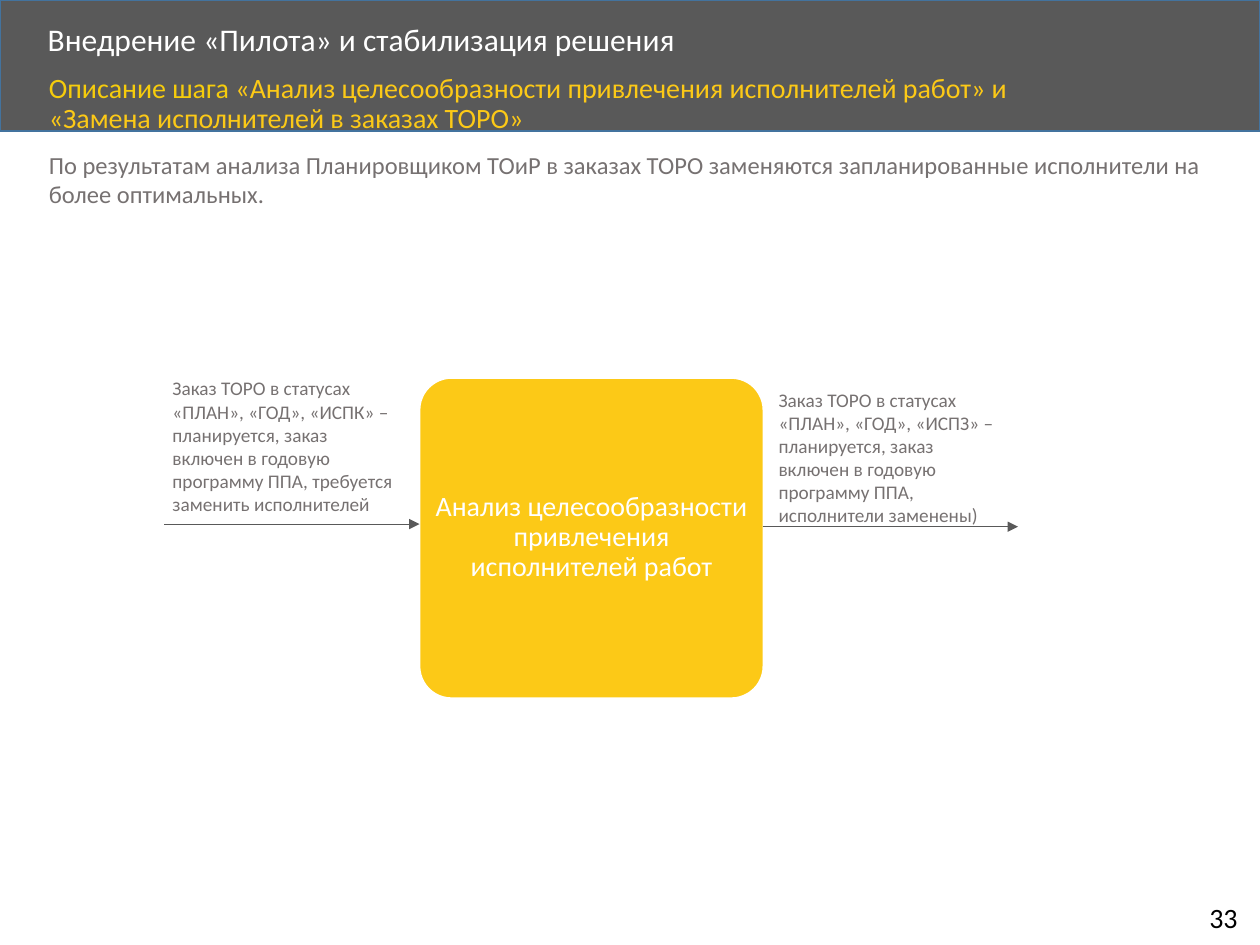
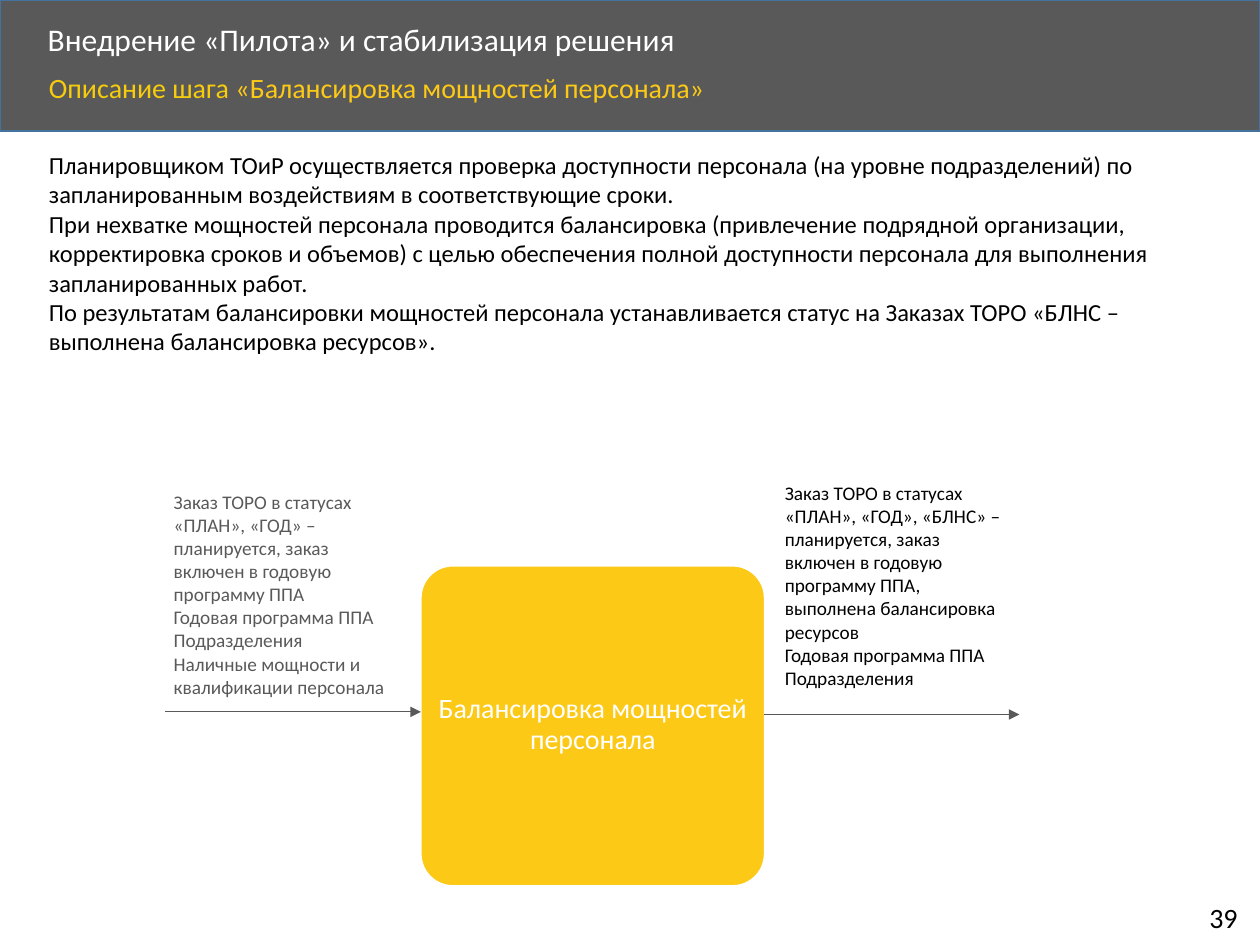
"""Build two slides that describe planning steps with their inputs and results."""
from lxml import etree
from pptx import Presentation
from pptx import util as u
from pptx.dml.color import RGBColor
from pptx.enum import shapes, text
from pptx.oxml import ns

WHITE = RGBColor(0xFF, 0xFF, 0xFF)
BLACK = RGBColor(0, 0, 0)
DARK = RGBColor(0x59, 0x59, 0x59)
GREY = RGBColor(0x76, 0x71, 0x71)
BLUE = RGBColor(0x43, 0x73, 0x9E)
GOLD = RGBColor(0xFC, 0xC9, 0x17)
AMBER = RGBColor(0xF6, 0xCC, 0x0C)

FONT = "Calibri"
TITLE = "Внедрение «Пилота» и стабилизация решения"
LEAD = "Описание шага "
BOX_W, BOX_H = 196.5, 183
ARROW = 146

STEPS = [
    dict(
        page="33",
        head="«Анализ целесообразности привлечения исполнителей работ» и "
             "«Замена исполнителей в заказах ТОРО»",
        body=["По результатам анализа Планировщиком ТОиР в заказах ТОРО заменяются "
              "запланированные исполнители на более оптимальных."],
        tint=GREY,
        name="Анализ целесообразности привлечения исполнителей работ",
        spot=(239.75, 216),
        source=dict(
            lines=["Заказ ТОРО в статусах «ПЛАН», «ГОД», «ИСПК» – планируется, заказ включен "
                   "в годовую программу ППА, требуется заменить исполнителей"],
            area=(91.5, 211.7, 144, 87), color=GREY),
        result=dict(
            lines=["Заказ ТОРО в статусах «ПЛАН», «ГОД», «ИСПЗ» – планируется, заказ включен "
                   "в годовую программу ППА, исполнители заменены)"],
            area=(437.8, 218.2, 144, 87), color=GREY),
    ),
    dict(
        page="39",
        head="«Балансировка мощностей персонала»",
        body=["Планировщиком ТОиР осуществляется проверка доступности персонала (на уровне "
              "подразделений) по запланированным воздействиям в соответствующие сроки.",
              "При нехватке мощностей персонала проводится балансировка (привлечение подрядной "
              "организации, корректировка сроков и объемов) с целью обеспечения полной "
              "доступности персонала для выполнения запланированных работ.",
              "По результатам балансировки мощностей персонала устанавливается статус на "
              "Заказах ТОРО «БЛНС – выполнена балансировка ресурсов»."],
        tint=BLACK,
        name="Балансировка мощностей персонала",
        spot=(240.5, 323.3),
        source=dict(
            lines=["Заказ ТОРО в статусах «ПЛАН», «ГОД» – планируется, заказ включен "
                   "в годовую программу ППА",
                   "Годовая программа ППА Подразделения",
                   "Наличные мощности и квалификации персонала"],
            area=(92.2, 276.5, 144, 127.4), color=DARK),
        result=dict(
            lines=["Заказ ТОРО в статусах «ПЛАН», «ГОД», «БЛНС» – планируется, заказ включен "
                   "в годовую программу ППА, выполнена балансировка ресурсов",
                   "Годовая программа ППА Подразделения"],
            area=(441.4, 271.4, 144, 127.4), color=BLACK),
    ),
]


def write(slide, lines, area, size, color, lead=None, align=None, space=None,
          middle=False, wrap=True, inset=None):
    box = slide.shapes.add_textbox(*map(u.Pt, area))
    frame = box.text_frame
    frame.word_wrap = wrap
    if middle:
        frame.vertical_anchor = text.MSO_ANCHOR.MIDDLE
    if inset is not None:
        frame.margin_left = frame.margin_right = u.Pt(inset)
        frame.margin_top = frame.margin_bottom = u.Pt(inset)
    for i, line in enumerate(lines):
        para = frame.paragraphs[0] if i == 0 else frame.add_paragraph()
        para.alignment = align
        para.line_spacing = space
        parts = [(line, color)]
        if lead and i == 0:
            parts.insert(0, lead)
        for words, tint in parts:
            run = para.add_run()
            run.text = words
            run.font.name = FONT
            run.font.size = u.Pt(size)
            run.font.color.rgb = tint


def block(slide, kind, area, fill, edge):
    shape = slide.shapes.add_shape(kind, *map(u.Pt, area))
    shape.shadow.inherit = False
    shape.fill.solid()
    shape.fill.fore_color.rgb = fill
    shape.line.color.rgb = edge
    shape.line.width = u.Pt(1)
    return shape


def arrow(slide, left, top):
    line = slide.shapes.add_connector(
        shapes.MSO_CONNECTOR.STRAIGHT, *map(u.Pt, (left, top, left + ARROW, top)))
    line.line.color.rgb = DARK
    line.line.width = u.Pt(0.5)
    props = line._element.spPr
    tail = etree.SubElement(props.find(ns.qn("a:ln")), ns.qn("a:tailEnd"))
    tail.set("type", "triangle")
    etree.SubElement(props, ns.qn("a:effectLst"))


def frame_page(slide, head, page):
    block(slide, shapes.MSO_SHAPE.RECTANGLE, (0, 0, 720, 75), DARK, BLUE)
    write(slide, [TITLE], (20.2, 10, 581, 27.4), 18, WHITE, space=0.9, middle=True)
    write(slide, [page], (684, 511.2, 33, 26.6), 16, BLACK, wrap=False)
    write(slide, [head], (20.9, 38.9, 622.8, 32.4), 16, GOLD, lead=(LEAD, AMBER), space=0.9)


def draw_step(slide, name, spot, source, result):
    left, top = spot
    box = block(slide, shapes.MSO_SHAPE.ROUNDED_RECTANGLE,
                (left, top, BOX_W, BOX_H), GOLD, WHITE)
    box.adjustments[0] = 0.1
    write(slide, [name], (left + 4.3, top + 5, 188, 172), 16, WHITE,
          align=text.PP_ALIGN.CENTER, space=0.9, middle=True, inset=0.7)
    arrow(slide, left - ARROW, top + 83.5)
    arrow(slide, left + BOX_W - 0.5, top + 85)
    for note in (source, result):
        write(slide, size=11, **note)


def main():
    deck = Presentation()
    deck.slide_width, deck.slide_height = u.Pt(720), u.Pt(540)
    for step in STEPS:
        slide = deck.slides.add_slide(deck.slide_layouts[6])
        frame_page(slide, step["head"], step["page"])
        draw_step(slide, step["name"], step["spot"], step["source"], step["result"])
        tall = 41 if len(step["body"]) == 1 else 126
        write(slide, step["body"], (20.9, 82.1, 681, tall), 14, step["tint"])
    deck.save("out.pptx")


if __name__ == "__main__":
    main()
